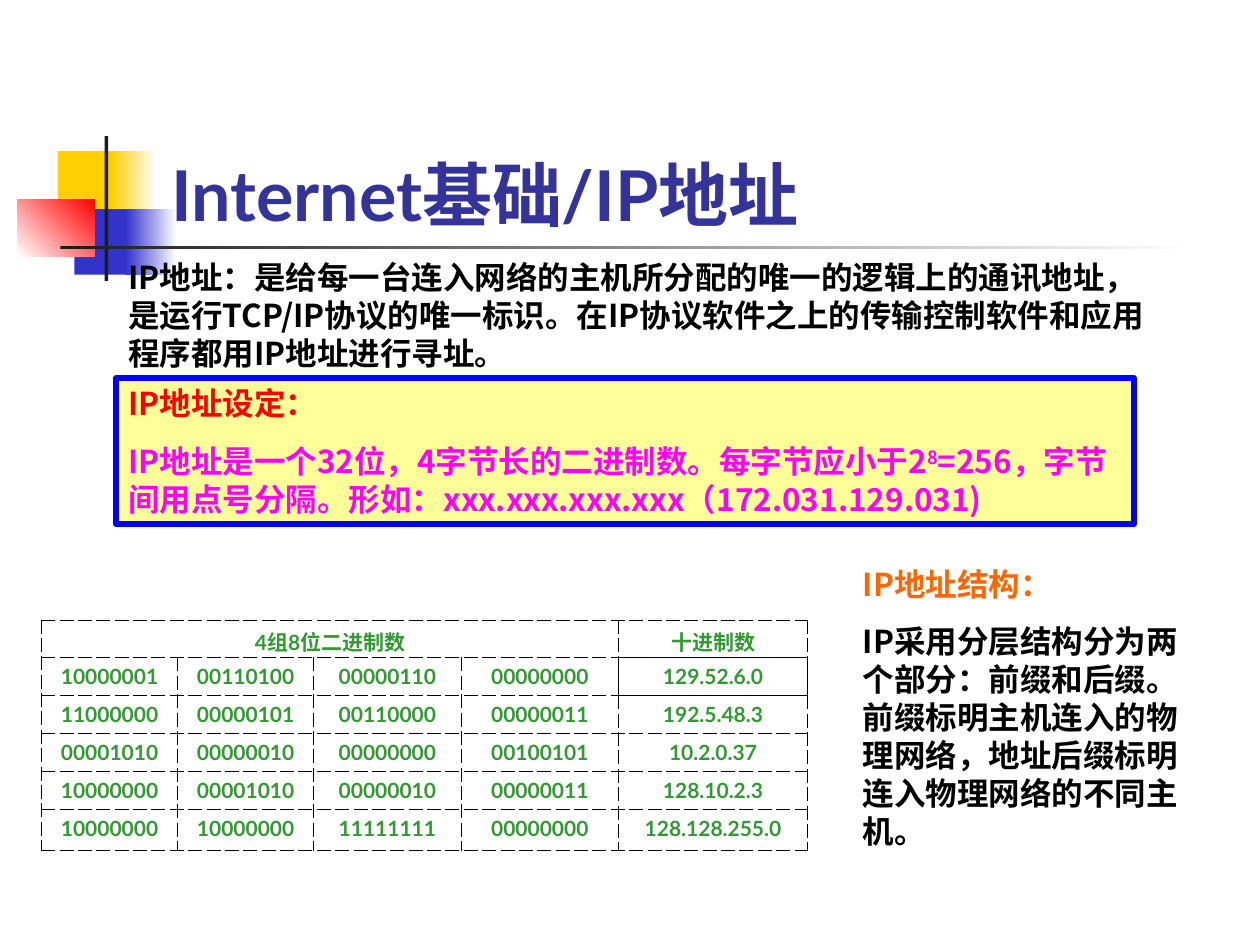
from lxml.etree import SubElement, Element
from pptx import Presentation
from pptx.dml.color import RGBColor
from pptx.enum.shapes import MSO_SHAPE as Shape
from pptx.enum.text import MSO_ANCHOR as Anchor, MSO_AUTO_SIZE as Auto, PP_ALIGN as Align
from pptx.oxml.ns import qn
from pptx.util import Inches, Pt

BLACK = RGBColor(0x00, 0x00, 0x00)
WHITE = RGBColor(0xFF, 0xFF, 0xFF)
GOLD = RGBColor(0xFF, 0xCF, 0x01)
BLUE = RGBColor(0x33, 0x33, 0xCC)
RED = RGBColor(0xFF, 0x00, 0x00)
DARK = RGBColor(0x1C, 0x1C, 0x1C)
NAVY = RGBColor(0x33, 0x33, 0x99)
CREAM = RGBColor(0xFF, 0xFF, 0x99)
EDGE = RGBColor(0x00, 0x00, 0xFF)
PINK = RGBColor(0xFF, 0x00, 0xFF)
GREEN = RGBColor(0x33, 0x99, 0x33)
ORANGE = RGBColor(0xFF, 0x66, 0x00)
LATIN, HAN = "Lato", "Noto Sans CJK SC"

DECOR = [
    ((0.46, 1.2, 0.48, 0.52), (GOLD,), 0),
    ((0.88, 1.2, 0.36, 0.52), (GOLD, WHITE), 0),
    ((0.59, 1.66, 0.46, 0.52), (BLUE,), 0),
    ((1, 1.66, 0.4, 0.52), (BLUE, WHITE), 0),
    ((0.14, 1.58, 0.61, 0.46), (WHITE, RED), 45),
    ((0.83, 1.08, 0.03, 1.15), (DARK,), 0),
    ((0.48, 1.95, 9, 0.03), (DARK, WHITE), 0),
]
INTRO = [(["IP地址：是给每一台连入网络的主机所分配的唯一的逻辑上的通讯地址，"
           "是运行TCP/IP协议的唯一标识。在IP协议软件之上的传输控制软件和应用程序"
           "都用IP地址进行寻址。"], BLACK)]
SETUP = [
    (["IP地址设定："], RED),
    (["IP地址是一个32位，4字节长的二进制数。每字节应小于2", "8",
      "=256，字节间用点号分隔。形如：xxx.xxx.xxx.xxx（172.031.129.031)"], PINK),
]
PARTS = [
    (["IP地址结构："], ORANGE),
    (["IP采用分层结构分为两个部分：前缀和后缀。前缀标明主机连入的物理网络，"
      "地址后缀标明连入物理网络的不同主机。"], BLACK),
]
ROWS = [
    ("4组8位二进制数", "", "", "", "十进制数"),
    ("10000001", "00110100", "00000110", "00000000", "129.52.6.0"),
    ("11000000", "00000101", "00110000", "00000011", "192.5.48.3"),
    ("00001010", "00000010", "00000000", "00100101", "10.2.0.37"),
    ("10000000", "00001010", "00000010", "00000011", "128.10.2.3"),
    ("10000000", "10000000", "11111111", "00000000", "128.128.255.0"),
]
WIDTHS = (1.08, 1.08, 1.17, 1.25, 1.5)
HEIGHTS = (0.3,) * 5 + (0.33,)
SOLID = {(0, 4): "B", (1, 3): "R", (1, 4): "LRTB", (2, 4): "T"}


def style(para, face, size, color):
    """Set the bold font of one paragraph."""
    font = para.font
    font.name, font.size, font.bold = face, Pt(size), True
    font.color.rgb = color


def add_rect(slide, box, colors, angle=0):
    """Add a rectangle without outline, in one colour or a gradient."""
    rect = slide.shapes.add_shape(Shape.RECTANGLE, *map(Inches, box))
    rect.shadow.inherit = False
    rect.line.fill.background()
    if len(colors) == 1:
        rect.fill.solid()
        rect.fill.fore_color.rgb = colors[0]
    else:
        rect.fill.gradient()
        rect.fill.gradient_angle = angle
        for stop, color in zip(rect.fill.gradient_stops, colors):
            stop.color.rgb = color
    return rect


def set_title(slide, text):
    """Place the title in front of the ornament."""
    title = slide.shapes.title
    title.left, title.top, title.width, title.height = map(Inches, (1.26, 0.67, 8.52, 1.25))
    frame = title.text_frame
    frame.text = text
    frame.vertical_anchor, frame.auto_size = Anchor.BOTTOM, Auto.NONE
    para = frame.paragraphs[0]
    para.alignment = Align.LEFT
    style(para, LATIN, 40, NAVY)
    slide.shapes._spTree.append(title._element)


def write(shape, paras):
    """Fill a shape with paragraphs, raising the second run of each."""
    frame = shape.text_frame
    frame.word_wrap, frame.vertical_anchor = True, Anchor.TOP
    for i, (runs, color) in enumerate(paras):
        para = frame.add_paragraph() if i else frame.paragraphs[0]
        para.alignment = Align.LEFT
        para.line_spacing = Pt(21.7)
        if i:
            para.space_before = Pt(11.2)
        style(para, HAN, 18, color)
        for j, text in enumerate(runs):
            run = para.add_run()
            run.text = text
            if j == 1:
                run._r.get_or_add_rPr().set("baseline", "30000")


def add_text(slide, box, paras):
    """Add a text box."""
    write(slide.shapes.add_textbox(*map(Inches, box)), paras)


def add_panel(slide, box, paras):
    """Add the framed text panel."""
    rect = add_rect(slide, box, (CREAM,))
    rect.line.color.rgb = EDGE
    rect.line.width = Pt(3)
    write(rect, paras)


def set_edges(cell, solid):
    """Draw dashed cell borders, solid on the named sides."""
    props = cell._tc.get_or_add_tcPr()
    for i, side in enumerate("LRTB"):
        line = Element(qn(f"a:ln{side}"), w=str(Pt(0.45)))
        fill = SubElement(line, qn("a:solidFill"))
        SubElement(fill, qn("a:srgbClr"), val=str(BLACK))
        SubElement(line, qn("a:prstDash"), val="solid" if side in solid else "dash")
        props.insert(i, line)


def add_grid(slide):
    """Add the table of binary and decimal addresses."""
    box = (0.33, 4.92, sum(WIDTHS), sum(HEIGHTS))
    table = slide.shapes.add_table(len(ROWS), len(WIDTHS), *map(Inches, box)).table
    table.first_row = table.horz_banding = False
    for col, width in zip(table.columns, WIDTHS):
        col.width = Inches(width)
    for row, height in zip(table.rows, HEIGHTS):
        row.height = Inches(height)
    table.cell(0, 0).merge(table.cell(0, 3))
    for r, row in enumerate(ROWS):
        for c, text in enumerate(row):
            cell = table.cell(r, c)
            cell.fill.background()
            set_edges(cell, SOLID.get((r, c), ""))
            cell.text = text
            para = cell.text_frame.paragraphs[0]
            para.alignment = Align.CENTER
            style(para, LATIN, 12, GREEN)


def main():
    """Build and save the slide."""
    deck = Presentation()
    deck.slide_width, deck.slide_height = Inches(10), Inches(7.5)
    slide = deck.slides.add_slide(deck.slide_layouts[5])
    for box, colors, angle in DECOR:
        add_rect(slide, box, colors, angle)
    set_title(slide, "Internet基础/IP地址")
    add_text(slide, (0.92, 2, 8.33, 1), INTRO)
    add_panel(slide, (0.92, 3, 8.08, 1.16), SETUP)
    add_grid(slide)
    add_text(slide, (6.75, 4.43, 2.92, 2.36), PARTS)
    deck.save("out.pptx")


if __name__ == "__main__":
    main()
